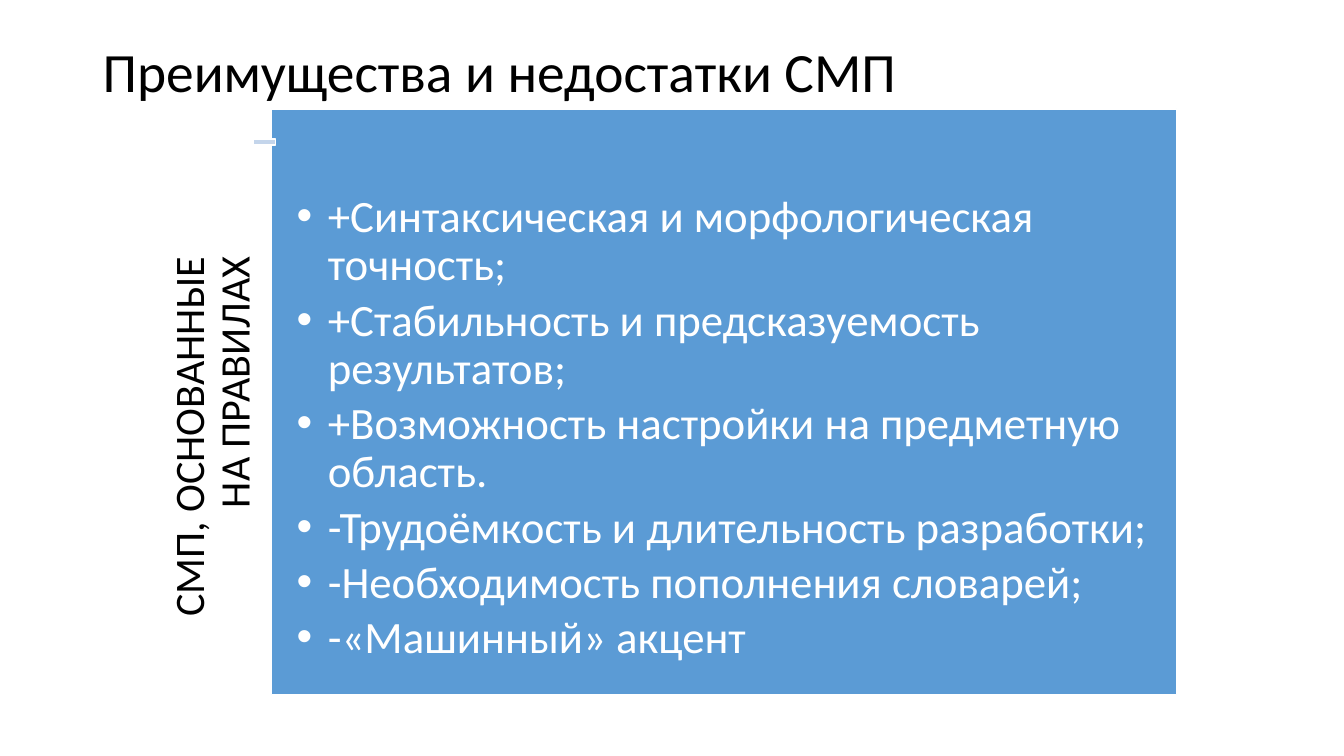
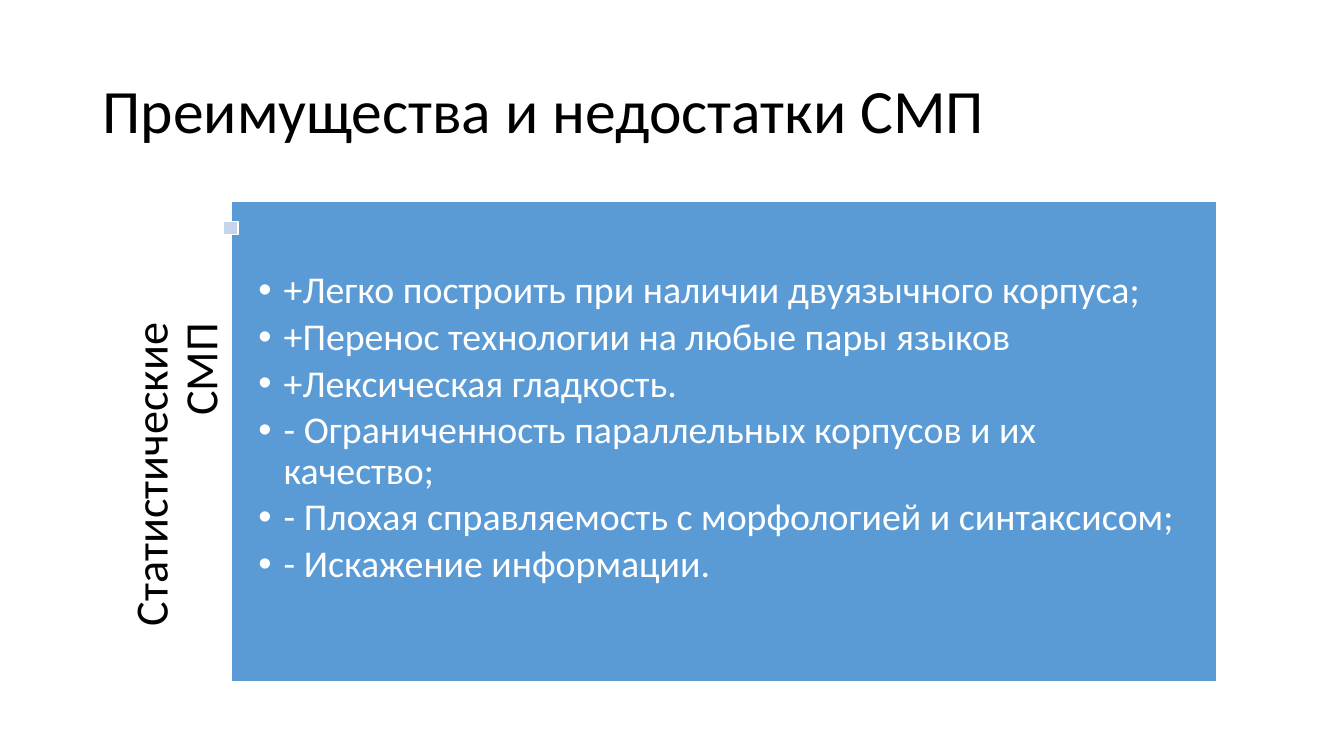
from dataclasses import dataclass

import pptx
import pptx.dml.color
import pptx.enum.shapes
import pptx.enum.text
import pptx.oxml.ns
import pptx.util
from lxml import etree

# Shared look
WIDTH, HEIGHT = 13.33, 7.5
FONT = "Calibri"
BLACK = pptx.dml.color.RGBColor(0x00, 0x00, 0x00)
WHITE = pptx.dml.color.RGBColor(0xFF, 0xFF, 0xFF)
BLUE = pptx.dml.color.RGBColor(0x5B, 0x9B, 0xD5)
PALE_BLUE = pptx.dml.color.RGBColor(0xC4, 0xD5, 0xEB)
TITLE = "Преимущества и недостатки СМП"
ALIGN = pptx.enum.text.PP_ALIGN
ANCHOR = pptx.enum.text.MSO_ANCHOR

# Proportions of the panel
LABEL_LENGTH = 0.785  # of panel height
TOP_INSET = 0.145  # of panel height
SIDE_INSET = 0.028  # of panel width


@dataclass(frozen=True)
class Box:
    """Left, top, width and height in percent of the slide."""
    left: float
    top: float
    width: float
    height: float

    def inches(self) -> tuple[float, float, float, float]:
        return (self.left * WIDTH / 100, self.top * HEIGHT / 100,
                self.width * WIDTH / 100, self.height * HEIGHT / 100)


@dataclass(frozen=True)
class Label:
    """Side caption: centre and depth in percent of the slide width."""
    text: str
    size: float
    centre: float
    depth: float


@dataclass(frozen=True)
class Topic:
    title_box: Box
    title_size: float
    label: Label
    panel: Box
    marker: Box
    bullets: tuple[str, ...]
    bullet_size: float
    indent: float


TOPICS = (
    Topic(
        Box(6.9, 5.33, 86.27, 9.07), 39.6,
        Label("СМП, ОСНОВАННЫЕ НА ПРАВИЛАХ", 30, 16.09, 7.2),
        Box(20.18, 14.4, 67.37, 77.47),
        Box(18.83, 18.4, 1.65, 0.8),
        ("+Синтаксическая и морфологическая точность;",
         "+Стабильность и предсказуемость результатов;",
         "+Возможность настройки на предметную область.",
         "-Трудоёмкость и длительность разработки;",
         "-Необходимость пополнения словарей;",
         "-«Машинный» акцент"),
        32, 0.31),
    Topic(
        Box(6.9, 5.33, 86.27, 19.33), 44,
        Label("Статистические СМП", 33, 14.22, 9.45),
        Box(17.18, 26.67, 73.37, 63.47),
        Box(16.65, 29.33, 1.05, 1.73),
        ("+Легко построить при наличии двуязычного корпуса;",
         "+Перенос технологии на любые пары языков",
         "+Лексическая гладкость.",
         "- Ограниченность параллельных корпусов и их качество;",
         "- Плохая справляемость с морфологией и синтаксисом;",
         "- Искажение информации."),
        27, 0.25),
)


def emu(values) -> list[int]:
    return [pptx.util.Inches(v) for v in values]


def write(sp, lines: tuple[str, ...], size: float, color, insets,
          align=ALIGN.LEFT, anchor=ANCHOR.TOP, after: float = 0) -> None:
    """Fill a shape with paragraphs; after is a share of the text size."""
    tf = sp.text_frame
    tf.word_wrap = True
    tf.vertical_anchor = anchor
    (tf.margin_left, tf.margin_top,
     tf.margin_right, tf.margin_bottom) = emu(insets)
    tf.text = "\n".join(lines)
    for p in tf.paragraphs:
        p.alignment = align
        p.line_spacing = 0.9
        p.space_before = pptx.util.Pt(0)
        p.space_after = pptx.util.Pt(size * after)
        for r in p.runs:
            r.font.name = FONT
            r.font.size = pptx.util.Pt(size)
            r.font.color.rgb = color


def add_bullets(sp, indent: float) -> None:
    for p in sp.text_frame.paragraphs:
        p.level = 1
        pPr = p._p.get_or_add_pPr()
        pPr.set("marL", str(pptx.util.Inches(indent)))
        pPr.set("indent", str(-pptx.util.Inches(indent)))
        etree.SubElement(pPr, pptx.oxml.ns.qn("a:buFont"), typeface="Arial")
        etree.SubElement(pPr, pptx.oxml.ns.qn("a:buChar"), char="•")


def add_block(s, box: Box, fill):
    sp = s.shapes.add_shape(pptx.enum.shapes.MSO_SHAPE.RECTANGLE,
                            *emu(box.inches()))
    sp.shadow.inherit = False
    sp.fill.solid()
    sp.fill.fore_color.rgb = fill
    sp.line.color.rgb = WHITE
    sp.line.width = pptx.util.Pt(1)
    return sp


def add_label(s, label: Label, panel: Box) -> None:
    """Turned caption, centred on the height of the panel."""
    _, top, _, height = panel.inches()
    length = LABEL_LENGTH * height
    depth = label.depth * WIDTH / 100
    left = label.centre * WIDTH / 100 - length / 2
    sp = s.shapes.add_textbox(
        *emu((left, top + (height - depth) / 2, length, depth)))
    sp.rotation = 270
    write(sp, (label.text,), label.size, BLACK,
          (0, 0, TOP_INSET * height, 0), align=ALIGN.RIGHT)


def draw_topic(s, topic: Topic) -> None:
    # Title
    sp = s.shapes.add_textbox(*emu(topic.title_box.inches()))
    write(sp, (TITLE,), topic.title_size, BLACK,
          (0.1, 0.05, 0.1, 0.05), anchor=ANCHOR.MIDDLE)

    # Side caption
    add_label(s, topic.label, topic.panel)

    # Panel with pros and cons
    _, _, width, height = topic.panel.inches()
    side = SIDE_INSET * width
    sp = add_block(s, topic.panel, BLUE)
    write(sp, topic.bullets, topic.bullet_size, WHITE,
          (side, TOP_INSET * height, side, side), after=0.15)
    add_bullets(sp, topic.indent)

    # Marker on the panel's edge
    add_block(s, topic.marker, PALE_BLUE)


def main() -> None:
    prs = pptx.Presentation()
    prs.slide_width, prs.slide_height = emu((WIDTH, HEIGHT))
    for topic in TOPICS:
        draw_topic(prs.slides.add_slide(prs.slide_layouts[6]), topic)
    prs.save("out.pptx")


if __name__ == "__main__":
    main()
